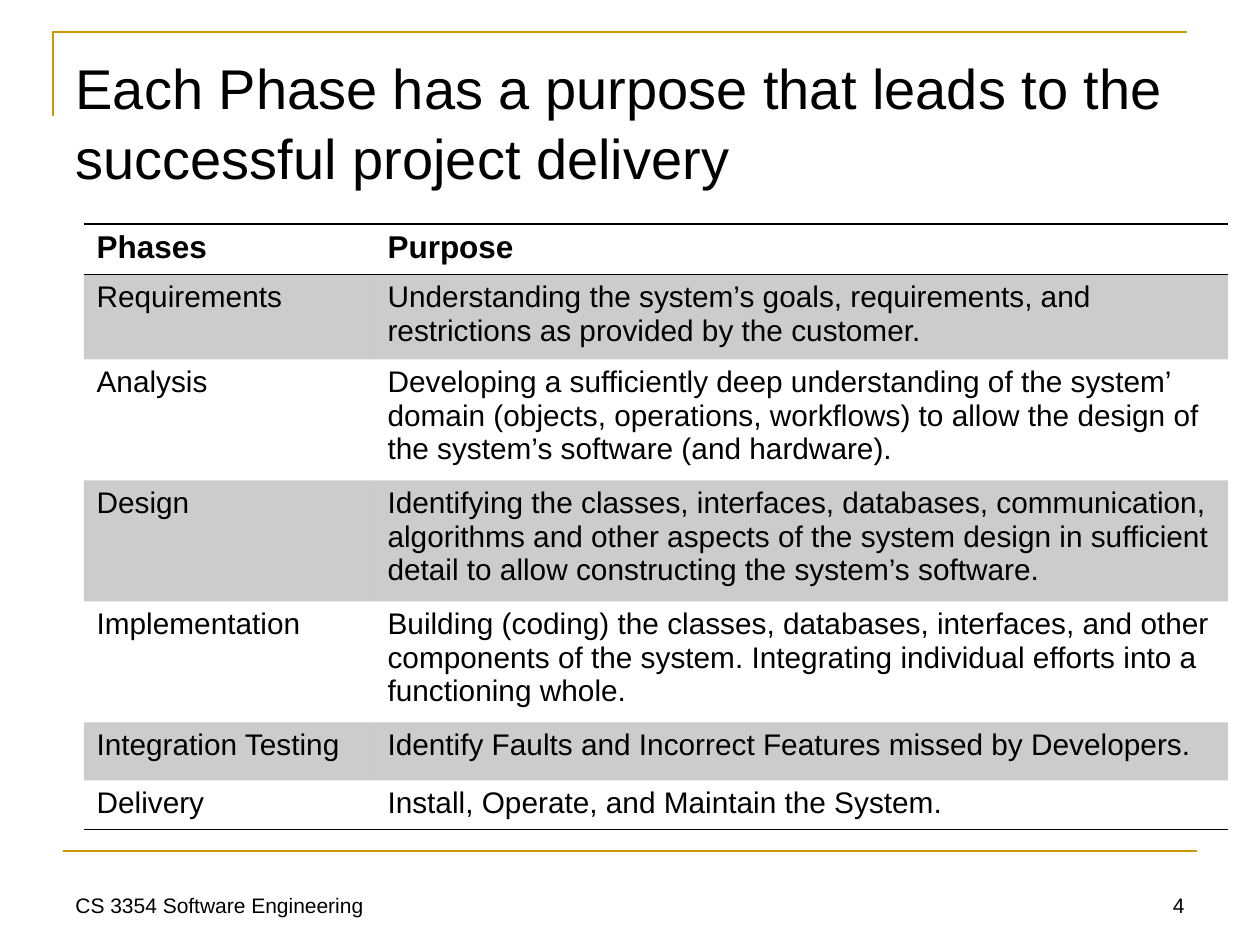
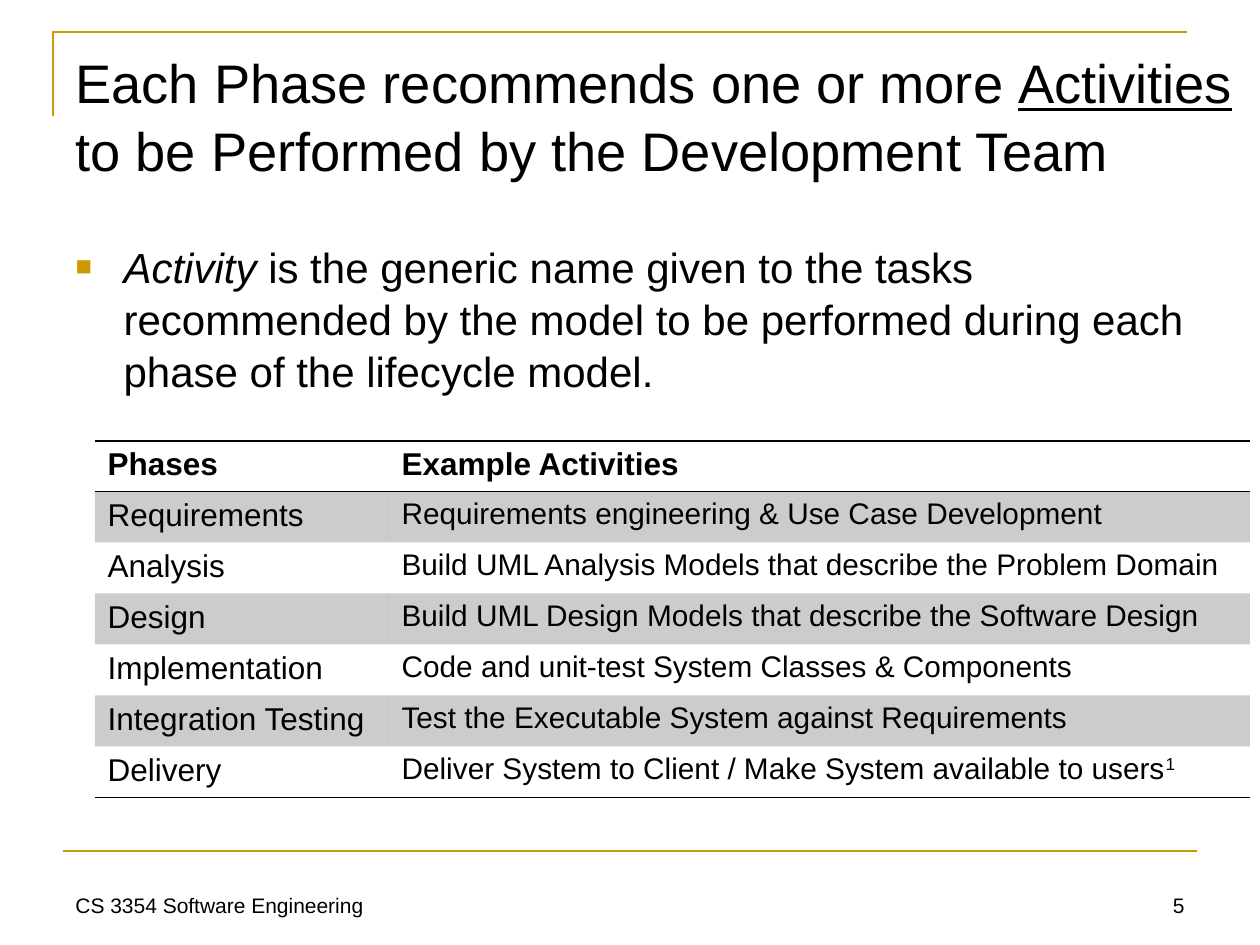
"""Build two slides on the purposes and activities of software lifecycle phases."""
from lxml.etree import SubElement
from pptx import Presentation
from pptx.dml.color import RGBColor
from pptx.enum.shapes import MSO_CONNECTOR as Connector
from pptx.enum.text import MSO_ANCHOR as Anchor, MSO_AUTO_SIZE as AutoSize, PP_ALIGN as Align
from pptx.oxml.ns import qn
from pptx.util import Emu, Pt

BLACK = RGBColor(0x00, 0x00, 0x00)
GOLD = RGBColor(0xCC, 0x99, 0x00)
FONT = "Arial"
PX_PER_INCH = 126
SLIDE_SIZE = (1260, 945)
PLAIN_TABLE_STYLE = "{2D5ABB26-0587-4C30-8999-92F81FD0307C}"
SHADE_ALPHA = 20
COURSE = "CS 3354 Software Engineering"
CORNER = [(53, 116), (53, 32), (1187, 32)]
FOOT_RULE = (63, 851, 1197, 851)
COURSE_BOX = (63, 861, 336, 63)
NUMBER_BOX = (903, 861, 294, 63)

PHASES = ["Requirements", "Analysis", "Design", "Implementation", "Integration Testing", "Delivery"]
PURPOSES = [
    "Understanding the system’s goals, requirements, and restrictions as provided by the customer.",
    "Developing a sufficiently deep understanding of the system’ domain (objects, operations, "
    "workflows) to allow the design of the system’s software (and hardware).",
    "Identifying the classes, interfaces, databases, communication, algorithms and other aspects "
    "of the system design in sufficient detail to allow constructing the system’s software.",
    "Building (coding) the classes, databases, interfaces, and other components of the system. "
    "Integrating individual efforts into a functioning whole.",
    "Identify Faults and Incorrect Features missed by Developers.",
    "Install, Operate, and Maintain the System.",
]
ACTIVITIES = [
    "Requirements engineering & Use Case Development",
    "Build UML Analysis Models that describe the Problem Domain",
    "Build UML Design Models that describe the Software Design",
    "Code and unit-test System Classes & Components",
    "Test the Executable System against Requirements",
    [("Deliver System to Client / Make System available to users", {}), ("1", {"superscript": True})],
]
SLIDES = [
    {
        "number": 4,
        "layout": "Title Only",
        "title": "Each Phase has a purpose that leads to the successful project delivery",
        "title_box": (63, 42, 1155, 158),
        "title_size": 32,
        "heading": "Purpose",
        "details": PURPOSES,
        "phase_size": 17,
        "table_corner": (84, 224),
        "columns": (291, 853),
        "rows": (48, 85, 121, 121, 121, 58, 49),
    },
    {
        "number": 5,
        "layout": "Title and Content",
        "title": [("Each Phase recommends one or more ", {}), ("Activities", {"underline": True}),
                  (" to be Performed by the Development Team", {})],
        "title_box": (63, 38, 1187, 158),
        "title_size": 31,
        "body": [("Activity", {"italic": True}),
                 (" is the generic name given to the tasks recommended by the model to be "
                  "performed during each phase of the lifecycle model.", {})],
        "body_box": (63, 231, 1134, 199),
        "heading": "Example Activities",
        "details": ACTIVITIES,
        "phase_size": 18,
        "table_corner": (95, 441),
        "columns": (294, 861),
        "rows": (48,) + (51,) * 6,
    },
]


def px(length):
    return Emu(round(length * 914400 / PX_PER_INCH))


def place(shape, box):
    shape.left, shape.top, shape.width, shape.height = map(px, box)


def write(frame, text, size, bold=False, align=Align.LEFT, anchor=Anchor.TOP, spacing=None):
    frame.word_wrap = True
    frame.vertical_anchor = anchor
    paragraph = frame.paragraphs[0]
    paragraph.alignment = align
    paragraph.line_spacing = spacing
    for words, style in [(text, {})] if isinstance(text, str) else text:
        run = paragraph.add_run()
        run.text = words
        font = run.font
        font.name, font.size, font.bold = FONT, Pt(size), bold
        font.color.rgb = BLACK
        font.italic = style.get("italic")
        font.underline = style.get("underline")
        if style.get("superscript"):
            run._r.get_or_add_rPr().set("baseline", "30000")
    return paragraph


def fill_placeholder(shape, box, text, size, margin_top):
    place(shape, box)
    frame = shape.text_frame
    frame.auto_size = AutoSize.NONE
    frame.margin_top = px(margin_top)
    return write(frame, text, size, spacing=1.04)


def add_bullet(paragraph):
    properties = paragraph._p.get_or_add_pPr()
    properties.set("marL", str(px(48)))
    properties.set("indent", str(px(-48)))
    color = SubElement(properties, qn("a:buClr"))
    SubElement(color, qn("a:srgbClr"), val=str(GOLD))
    SubElement(properties, qn("a:buSzPct"), val="65000")
    SubElement(properties, qn("a:buFont"), typeface=FONT)
    SubElement(properties, qn("a:buChar"), char="■")


def add_master_lines(slide, master):
    builder = slide.shapes.build_freeform(*map(px, CORNER[0]), scale=1.0)
    builder.add_line_segments([tuple(map(px, point)) for point in CORNER[1:]], close=False)
    corner = builder.convert_to_shape()
    corner.fill.background()
    corner.shadow.inherit = False
    rule = slide.shapes.add_connector(Connector.STRAIGHT, *map(px, FOOT_RULE))
    for index, shape in enumerate((corner, rule)):
        shape.line.color.rgb = GOLD
        shape.line.width = Pt(1.5)
        shape.element.xpath(".//p:cNvPr")[0].set("id", str(101 + index))
        master.shapes.element.insert(2 + index, shape.element)
    SubElement(rule.element.spPr, qn("a:effectLst"))


def add_border(cell, side):
    line = SubElement(cell._tc.get_or_add_tcPr(), qn(f"a:{side}"), w=str(Pt(1)))
    SubElement(SubElement(line, qn("a:solidFill")), qn("a:srgbClr"), val=str(BLACK))


def shade(cell):
    cell.fill.solid()
    cell.fill.fore_color.rgb = BLACK
    color = cell._tc.tcPr.find(f"{qn('a:solidFill')}/{qn('a:srgbClr')}")
    SubElement(color, qn("a:alpha"), val=str(SHADE_ALPHA * 1000))


def add_phase_table(slide, content):
    columns, rows = content["columns"], content["rows"]
    box = (*content["table_corner"], sum(columns), sum(rows))
    frame = slide.shapes.add_table(len(rows), len(columns), *map(px, box))
    table = frame.table
    frame.element.find(f".//{qn('a:tableStyleId')}").text = PLAIN_TABLE_STYLE
    for column, width in zip(table.columns, columns):
        column.width = px(width)
    for row, height in zip(table.rows, rows):
        row.height = px(height)
    lines = [("Phases", content["heading"]), *zip(PHASES, content["details"])]
    for row_index, line in enumerate(lines):
        is_header = row_index == 0
        sizes = (18, 18) if is_header else (content["phase_size"], 17)
        for column_index, (text, size) in enumerate(zip(line, sizes)):
            cell = table.cell(row_index, column_index)
            write(cell.text_frame, text, size, bold=is_header)
            if is_header:
                add_border(cell, "lnT")
            if is_header or row_index == len(PHASES):
                add_border(cell, "lnB")
            if row_index % 2:
                shade(cell)
            else:
                cell.fill.background()


def add_footer(slide, number):
    for box, text, align in ((COURSE_BOX, COURSE, Align.LEFT), (NUMBER_BOX, str(number), Align.RIGHT)):
        shape = slide.shapes.add_textbox(*map(px, box))
        write(shape.text_frame, text, 12, align=align, anchor=Anchor.BOTTOM)


def main():
    presentation = Presentation()
    presentation.slide_width, presentation.slide_height = map(px, SLIDE_SIZE)
    for content in SLIDES:
        layout = presentation.slide_layouts.get_by_name(content["layout"])
        slide = presentation.slides.add_slide(layout)
        if content is SLIDES[0]:
            add_master_lines(slide, presentation.slide_master)
        add_footer(slide, content["number"])
        fill_placeholder(slide.shapes.title, content["title_box"], content["title"],
                         content["title_size"], margin_top=9)
        if "body" in content:
            paragraph = fill_placeholder(slide.placeholders[1], content["body_box"],
                                         content["body"], 24, margin_top=8)
            add_bullet(paragraph)
        add_phase_table(slide, content)
    presentation.save("out.pptx")


if __name__ == "__main__":
    main()
